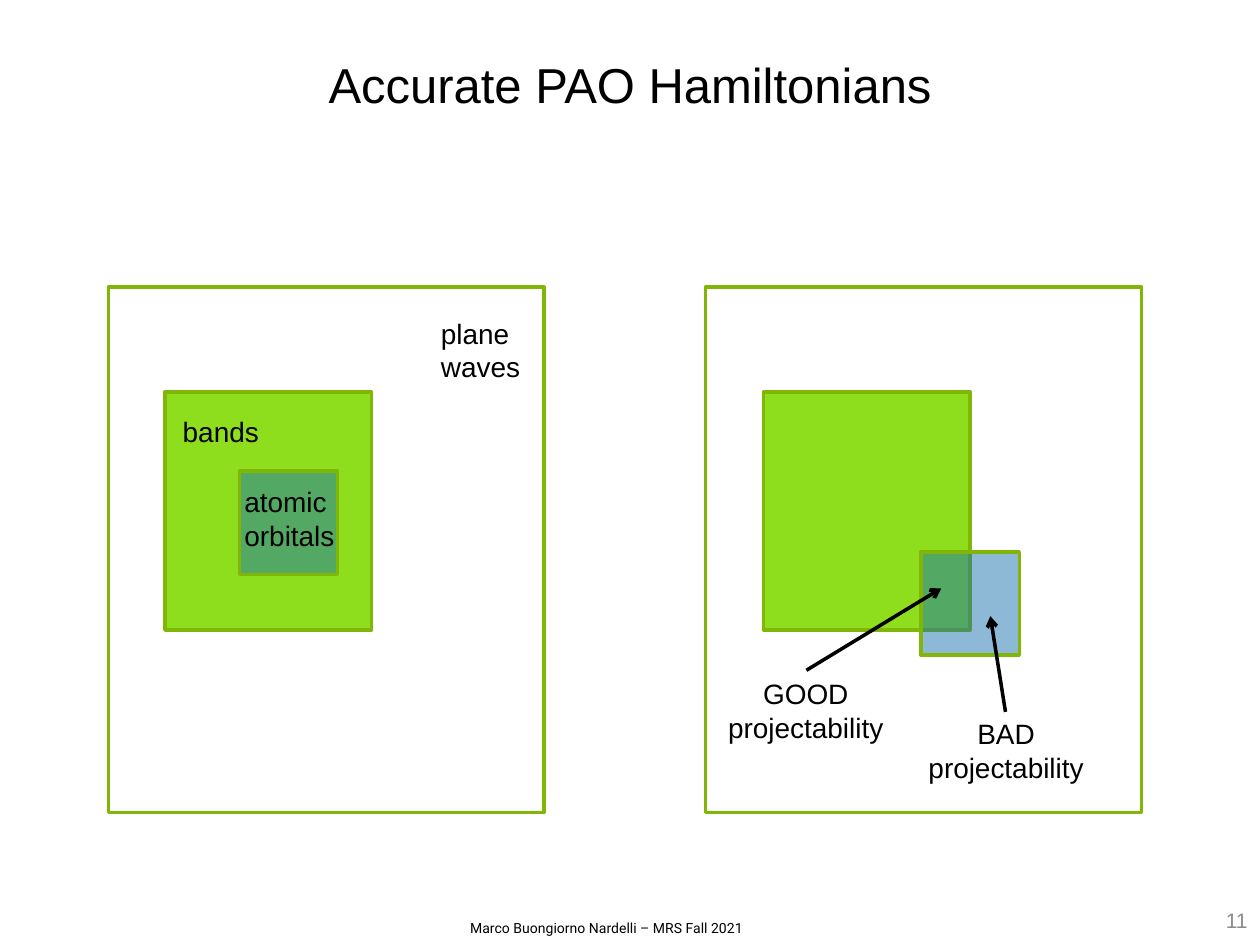
from lxml import etree
from pptx import Presentation
from pptx.dml.color import RGBColor
from pptx.enum import shapes, text
from pptx.oxml.ns import qn
from pptx.util import Inches, Pt

BLACK = RGBColor(0x00, 0x00, 0x00)
GRAY = RGBColor(0x8C, 0x8C, 0x8C)
WHITE = RGBColor(0xFF, 0xFF, 0xFF)
OUTLINE = RGBColor(0x80, 0xB6, 0x06)
BANDS = RGBColor(0x8E, 0xDE, 0x1D)
ORBITALS = RGBColor(0x17, 0x72, 0xAD)
LEFT, CENTER, RIGHT = text.PP_ALIGN.LEFT, text.PP_ALIGN.CENTER, text.PP_ALIGN.RIGHT
TOP, MIDDLE = text.MSO_ANCHOR.TOP, text.MSO_ANCHOR.MIDDLE


def write(sp, lines, size, align=LEFT, anchor=TOP, wrap=False,
          color=BLACK, font="Arial", inset=0.05):
    tf = sp.text_frame
    frame = {"word_wrap": wrap, "vertical_anchor": anchor,
             "auto_size": text.MSO_AUTO_SIZE.NONE}
    frame.update({f"margin_{side}": Inches(inset)
                  for side in ("left", "top", "right", "bottom")})
    for name, value in frame.items():
        setattr(tf, name, value)
    tf.text = "\n".join(lines)
    for p in tf.paragraphs:
        p.alignment = align
        for r in p.runs:
            for name, value in {"name": font, "size": Pt(size)}.items():
                setattr(r.font, name, value)
            r.font.color.rgb = color


prs = Presentation()
prs.slide_width, prs.slide_height = Inches(10), Inches(7.5)
s = prs.slides.add_slide(prs.slide_layouts[5])

# Title
title = s.shapes.title
box = {"left": 0.75, "top": 0, "width": 8.5, "height": 1.33}
for name, value in box.items():
    setattr(title, name, Inches(value))
write(title, ["Accurate PAO Hamiltonians"], 28, CENTER, MIDDLE, True)

# Two panels of nested spaces: plane waves, bands, atomic orbitals
for panel_x, bands_x, orbitals_x, orbitals_y in (
        (0.86, 1.31, 1.9, 3.74), (5.6, 6.06, 7.31, 4.38)):
    for x, y, w, h, fill, alpha in (
            (panel_x, 2.28, 3.46, 4.17, WHITE, 100),
            (bands_x, 3.11, 1.64, 1.89, BANDS, 100),
            (orbitals_x, orbitals_y, 0.78, 0.82, ORBITALS, 49)):
        sp = s.shapes.add_shape(shapes.MSO_SHAPE.RECTANGLE,
                                Inches(x), Inches(y), Inches(w), Inches(h))
        sp.shadow.inherit = False
        sp.fill.solid()
        sp.fill.fore_color.rgb = fill
        sp.line.color.rgb = OUTLINE
        sp.line.width = Pt(2)
        etree.SubElement(sp.line._get_or_add_ln(), qn("a:round"))
        if alpha < 100:
            rgb = sp.fill._xPr.find(qn("a:solidFill")).find(qn("a:srgbClr"))
            etree.SubElement(rgb, qn("a:alpha"), val=str(alpha * 1000))

# Labels
for x, y, w, h, lines, align in (
        (1.4, 3.24, 0.71, 0.37, ["bands"], LEFT),
        (3.45, 2.46, 0.74, 0.64, ["plane", "waves"], LEFT),
        (1.89, 3.8, 0.82, 0.64, ["atomic", "orbitals"], LEFT),
        (5.72, 5.32, 1.35, 0.64, ["GOOD", "projectability"], CENTER),
        (7.31, 5.64, 1.35, 0.64, ["BAD", "projectability"], CENTER)):
    sp = s.shapes.add_textbox(Inches(x), Inches(y), Inches(w), Inches(h))
    write(sp, lines, 16, align)

# Arrows from the labels to the overlap and the remainder
for x1, y1, x2, y2 in ((6.4, 5.32, 7.47, 4.67), (7.98, 5.65, 7.86, 4.89)):
    arrow = s.shapes.add_connector(shapes.MSO_CONNECTOR.STRAIGHT,
                                   Inches(x1), Inches(y1), Inches(x2), Inches(y2))
    arrow.line.color.rgb = BLACK
    arrow.line.width = Pt(2)
    ln = arrow.line._get_or_add_ln()
    etree.SubElement(ln, qn("a:round"))
    etree.SubElement(ln, qn("a:tailEnd"), type="arrow")
    etree.SubElement(arrow._element.spPr, qn("a:effectLst"))

# Footer and slide number
footer = s.shapes.add_textbox(Inches(2.94), Inches(7.25), Inches(3.75), Inches(0.24))
write(footer, ["Marco Buongiorno Nardelli – MRS Fall 2021"], 8, CENTER,
      wrap=True, font="Roboto")
number = s.shapes.add_textbox(Inches(7.67), Inches(7.1), Inches(2.33), Inches(0.4))
write(number, ["11"], 12, RIGHT, MIDDLE, True, GRAY, inset=0.1)

prs.save("out.pptx")
